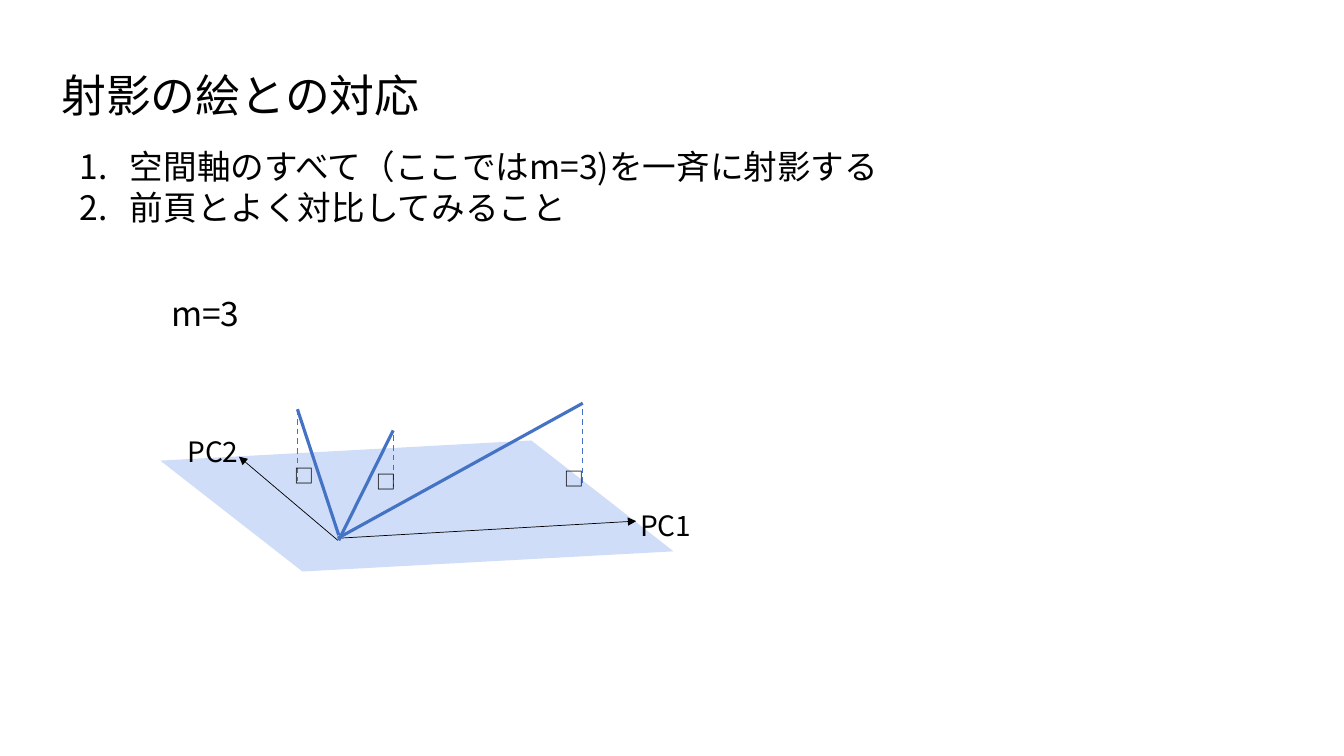
from lxml import etree
from pptx import Presentation
from pptx.dml.color import RGBColor
from pptx.enum.dml import MSO_LINE
from pptx.enum.shapes import MSO_CONNECTOR
from pptx.enum.text import MSO_AUTO_SIZE
from pptx.oxml.ns import qn
from pptx.util import Inches, Pt

STRAIGHT = MSO_CONNECTOR.STRAIGHT
DASH = MSO_LINE.DASH
FIT_SHAPE = MSO_AUTO_SIZE.SHAPE_TO_FIT_TEXT
FONT = "Noto Sans CJK JP"
BLACK, BLUE, PLANE = "000000", "4472C4", "CFDDF8"
LINE_HEIGHT = 1.22

prs = Presentation()
prs.slide_width, prs.slide_height = Inches(13.33), Inches(7.5)
s = prs.slides.add_slide(prs.slide_layouts[6])


def add_text(left, top, width, height, size, lines, numbered=False):
    sp = s.shapes.add_textbox(*map(Inches, (left, top, width, height)))
    tf = sp.text_frame
    tf.word_wrap = False
    tf.auto_size = FIT_SHAPE
    for i, line in enumerate(lines):
        p = tf.paragraphs[0] if i == 0 else tf.add_paragraph()
        p.line_spacing = Pt(round(size * LINE_HEIGHT, 1))
        if numbered:
            pPr = p._p.get_or_add_pPr()
            pPr.set("marL", str(Inches(0.5)))
            pPr.set("indent", str(-Inches(0.5)))
            etree.SubElement(pPr, qn("a:buFont"), typeface="+mj-lt")
            etree.SubElement(pPr, qn("a:buAutoNum"), type="arabicPeriod")
        r = p.add_run()
        r.text = line
        r.font.size = Pt(size)
        r.font.color.rgb = RGBColor.from_string(BLACK)
        r.font.name = FONT
        etree.SubElement(r._r.get_or_add_rPr(), qn("a:ea"), typeface=FONT)


def add_line(start, end, color, width, dash=None, arrow=False):
    c = s.shapes.add_connector(STRAIGHT, *map(Inches, (*start, *end)))
    c.line.color.rgb = RGBColor.from_string(color)
    c.line.width = Pt(width)
    if dash:
        c.line.dash_style = dash
    if arrow:
        etree.SubElement(c.line._get_or_add_ln(), qn("a:tailEnd"), type="triangle")
    etree.SubElement(c._element.spPr, qn("a:effectLst"))


# Projection plane
corners = [(1.59, 4.57), (5.27, 4.37), (6.68, 5.47), (3.0, 5.67)]
points = [(Inches(x), Inches(y)) for x, y in corners]
fb = s.shapes.build_freeform(*points[0])
fb.add_line_segments(points[1:], close=True)
plane = fb.convert_to_shape()
plane.shadow.inherit = False
plane.fill.solid()
plane.fill.fore_color.rgb = RGBColor.from_string(PLANE)
plane.line.fill.background()

# Principal axes
add_line((3.35, 5.36), (2.37, 4.53), BLACK, 0.5, arrow=True)
add_line((3.35, 5.34), (6.31, 5.17), BLACK, 0.5, arrow=True)

# Space axes
for start, end in [((5.78, 4), (3.35, 5.34)),
                   ((2.95, 4.06), (3.36, 5.31)),
                   ((3.36, 5.36), (3.9, 4.27))]:
    add_line(start, end, BLUE, 2.25)

add_text(6.25, 4.99, 0.73, 0.44, 20, ["PC1"])
add_text(1.76, 4.26, 0.73, 0.44, 20, ["PC2"])

# Perpendiculars with their right-angle marks: x, top, foot, mark left, mark top
for x, top, foot, mark_left, mark_top in [(5.78, 4.06, 4.83, 5.5, 4.58),
                                          (2.95, 4.06, 4.77, 2.82, 4.55),
                                          (3.9, 4.32, 4.83, 3.64, 4.61)]:
    add_line((x, top), (x, foot), BLUE, 1, dash=DASH)
    add_text(mark_left, mark_top, 0.4, 0.34, 14, ["□"])

add_text(0.51, 0.61, 3.79, 0.64, 32, ["射影の絵との対応"])
add_text(1.6, 2.85, 1, 0.5, 24, ["m=3"])
add_text(0.69, 1.39, 8.39, 1.31, 24,
         ["空間軸のすべて（ここではm=3)を一斉に射影する", "前頁とよく対比してみること"],
         numbered=True)

prs.save("out.pptx")
